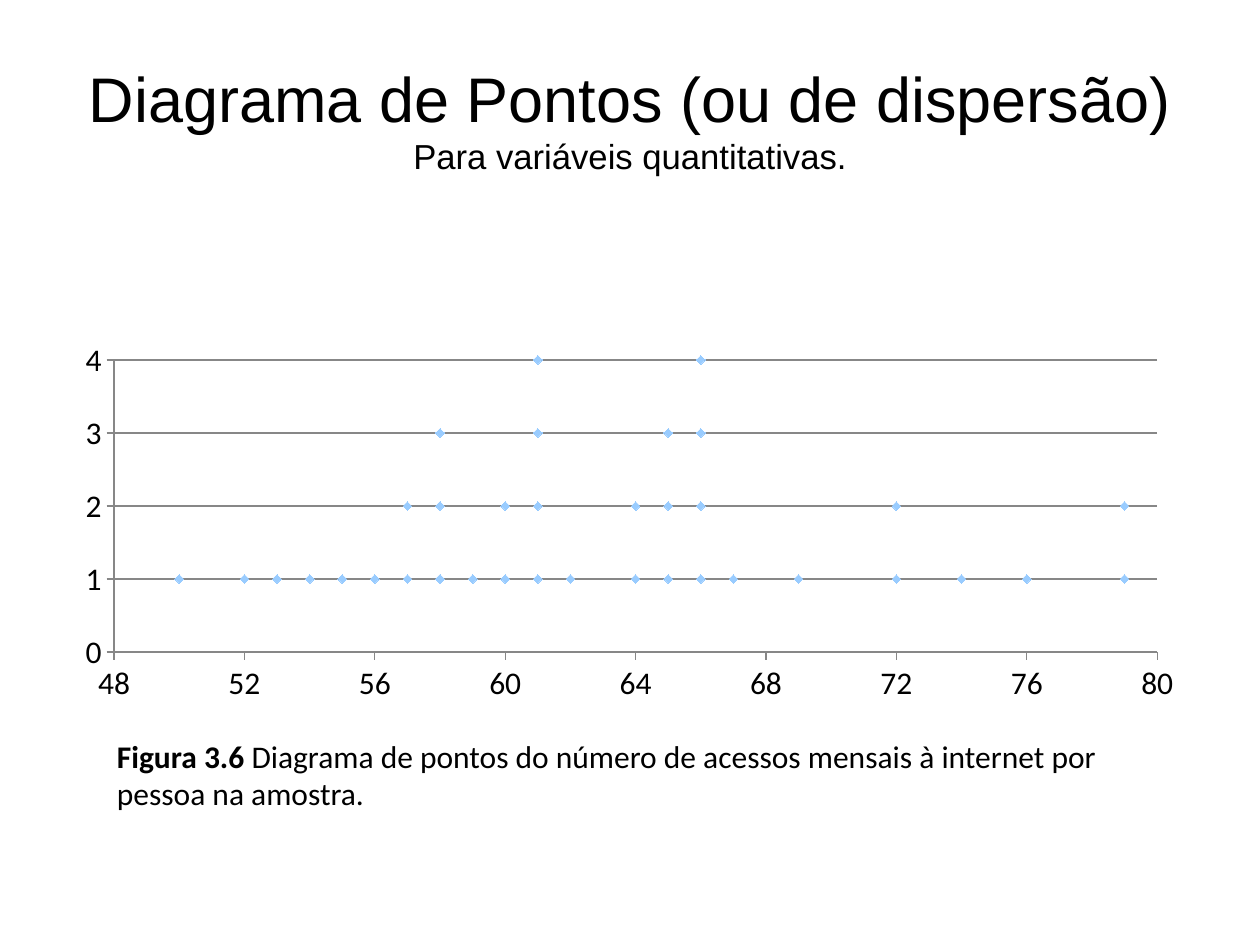
import pptx
import pptx.chart.data
import pptx.dml.color
import pptx.enum.chart
import pptx.enum.text
import pptx.util
from lxml import etree

COLORS = {"text": "000000", "axis": "878787", "dot": "99CCFF"}
# (monthly accesses, people stacked at that value)
ACCESS_COUNTS = [
    (50, 1), (52, 1), (53, 1), (54, 1), (55, 1), (56, 1), (57, 2), (58, 3),
    (58, 1), (59, 1), (60, 2), (61, 4), (62, 1), (64, 2), (65, 3), (66, 4),
    (67, 1), (69, 1), (72, 2), (74, 1), (76, 1), (79, 2),
]


def rgb(name):
    return pptx.dml.color.RGBColor.from_string(COLORS[name])


def add_run(paragraph, text, *, size, font="Calibri", bold=False, color="text"):
    run = paragraph.add_run()
    run.text = text
    run.font.size = pptx.util.Pt(size)
    run.font.name = font
    run.font.bold = bold
    run.font.color.rgb = rgb(color)


class SlideBuilder:
    """Places elements by shares of the slide's width and height."""

    def __init__(self, presentation):
        self.width = presentation.slide_width
        self.height = presentation.slide_height
        self.slide = presentation.slides.add_slide(presentation.slide_layouts[5])

    def box(self, left, top, width, height):
        return (round(left * self.width), round(top * self.height),
                round(width * self.width), round(height * self.height))

    def title(self, heading, subheading, area):
        title = self.slide.shapes.title
        title.left, title.top, title.width, title.height = self.box(*area)
        frame = title.text_frame
        frame.auto_size = pptx.enum.text.MSO_AUTO_SIZE.NONE
        frame.vertical_anchor = pptx.enum.text.MSO_ANCHOR.MIDDLE
        paragraph = frame.paragraphs[0]
        paragraph.alignment = pptx.enum.text.PP_ALIGN.CENTER
        add_run(paragraph, heading, size=36, font="Arial")
        paragraph.add_line_break()
        add_run(paragraph, subheading, size=19.8, font="Arial")

    def caption(self, label, text, area):
        frame = self.slide.shapes.add_textbox(*self.box(*area)).text_frame
        frame.word_wrap = True
        frame.auto_size = pptx.enum.text.MSO_AUTO_SIZE.SHAPE_TO_FIT_TEXT
        paragraph = frame.paragraphs[0]
        add_run(paragraph, label, size=18, bold=True)
        add_run(paragraph, text, size=18)

    def dot_plot(self, counts, area, plot_area):
        data = pptx.chart.data.XyChartData()
        people = data.add_series("Series 1")
        for accesses, count in counts:
            for level in range(1, count + 1):
                people.add_data_point(accesses, level)
        chart = self.slide.shapes.add_chart(
            pptx.enum.chart.XL_CHART_TYPE.XY_SCATTER, *self.box(*area), data).chart
        chart.has_legend = False
        chart.has_title = False
        chart.font.size = pptx.util.Pt(18)
        chart.font.name = "Calibri"
        chart.font.color.rgb = rgb("text")
        chart.plots[0].vary_by_categories = False

        dots = chart.plots[0].series[0]
        dots.smooth = False
        dots.format.line.fill.background()
        dots.marker.style = pptx.enum.chart.XL_MARKER_STYLE.DIAMOND
        dots.marker.size = 5
        dots.marker.format.fill.solid()
        dots.marker.format.fill.fore_color.rgb = rgb("dot")
        dots.marker.format.line.fill.background()

        self.axis(chart.category_axis, 48, 80, 4)
        self.axis(chart.value_axis, 0, 4, 1, grid=True)
        self.fix_plot_area(chart, plot_area)

    def axis(self, axis, low, high, step, grid=False):
        axis.minimum_scale, axis.maximum_scale = low, high
        axis.major_unit = step
        axis.major_tick_mark = pptx.enum.chart.XL_TICK_MARK.OUTSIDE
        axis.minor_tick_mark = pptx.enum.chart.XL_TICK_MARK.NONE
        axis.tick_labels.number_format = "General"
        axis.tick_labels.number_format_is_linked = False
        axis.has_major_gridlines = grid
        lines = [axis.format.line]
        if grid:
            lines.append(axis.major_gridlines.format.line)
        for line in lines:
            line.color.rgb = rgb("axis")
            line.width = pptx.util.Pt(0.75)

    def fix_plot_area(self, chart, shares):
        """Set the inner plot area as shares of the chart: x, y, w, h."""
        namespace = "{http://schemas.openxmlformats.org/drawingml/2006/chart}"
        plot = chart._chartSpace.chart.plotArea
        for old in plot.findall(namespace + "layout"):
            plot.remove(old)
        layout = etree.Element(namespace + "layout")
        manual = etree.SubElement(layout, namespace + "manualLayout")
        settings = [("layoutTarget", "inner"), ("xMode", "edge"), ("yMode", "edge")]
        settings += zip("xywh", shares)
        for tag, value in settings:
            etree.SubElement(manual, namespace + tag, val=str(value))
        plot.insert(0, layout)


def main():
    presentation = pptx.Presentation()
    presentation.slide_width = pptx.util.Inches(10)
    presentation.slide_height = pptx.util.Inches(7.5)
    builder = SlideBuilder(presentation)
    builder.title("Diagrama de Pontos (ou de dispersão)",
                  "Para variáveis quantitativas.", (0.05, 0.04, 0.9, 0.17))
    builder.dot_plot(ACCESS_COUNTS, (0.05, 0.353, 0.9, 0.399),
                     (0.045, 0.07, 0.92, 0.775))
    builder.caption("Figura 3.6", " Diagrama de pontos do número de acessos mensais "
                    "à internet por pessoa na amostra.", (0.083, 0.773, 0.85, 0.095))
    presentation.save("out.pptx")


if __name__ == "__main__":
    main()
